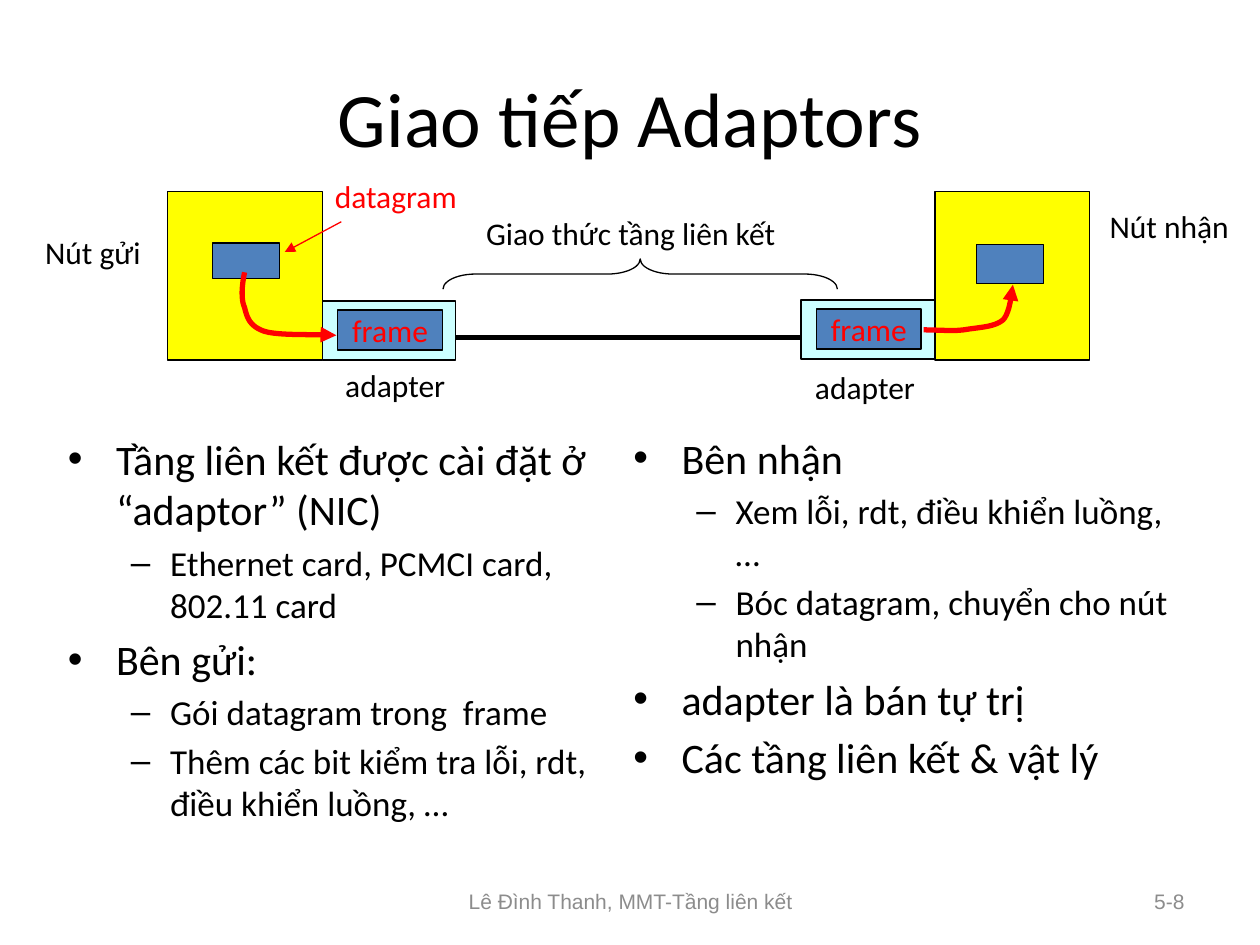
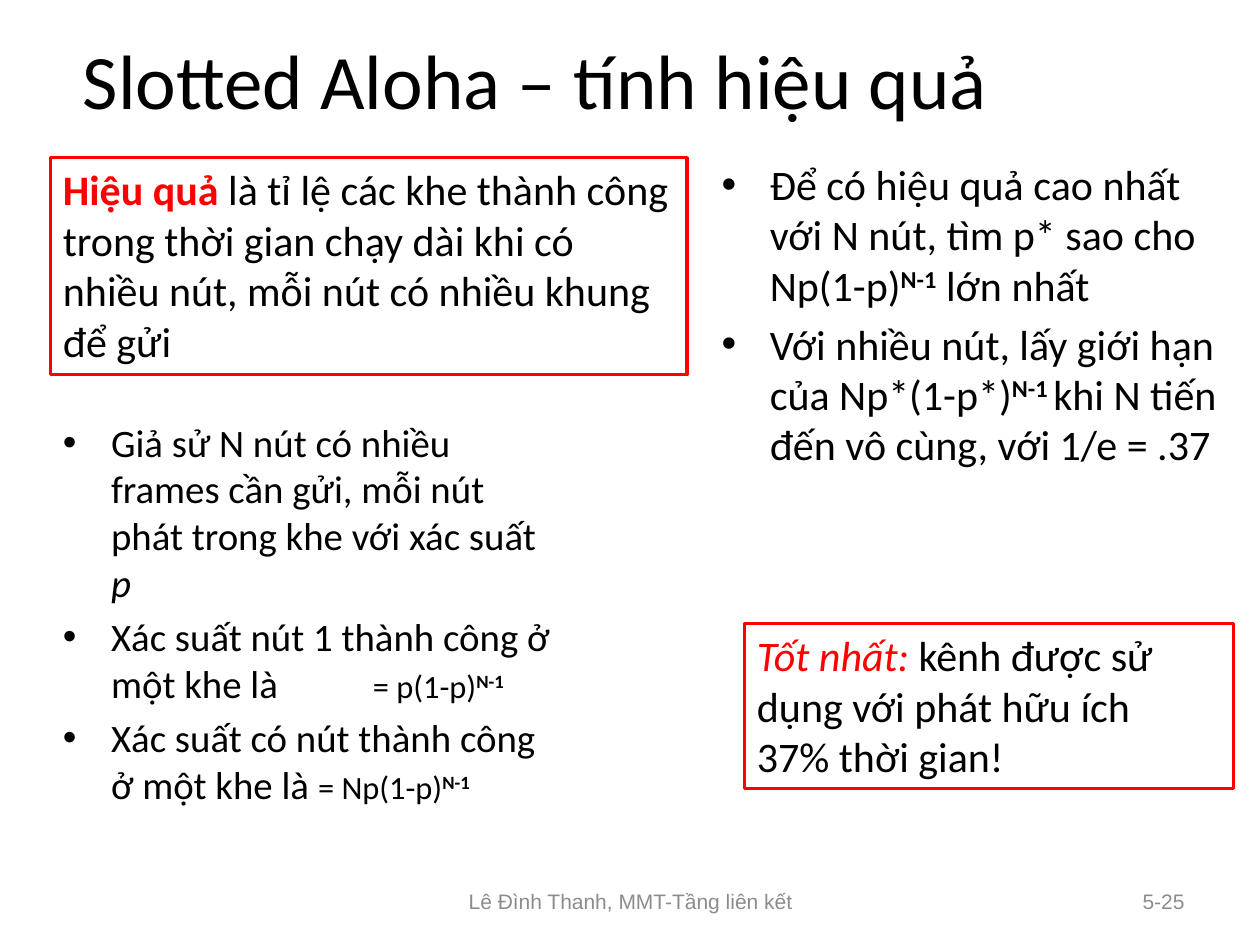
from lxml.etree import SubElement as Sub
from pptx import Presentation
from pptx.dml.color import RGBColor
from pptx.enum.shapes import MSO_CONNECTOR as Link, MSO_SHAPE as Kind
from pptx.enum.text import MSO_ANCHOR as Anchor, PP_ALIGN as Align
from pptx.oxml.ns import qn
from pptx.util import Cm, Pt

BLACK, RED, GREY = "000000", "FF0000", "8C8C8C"
YELLOW, CYAN, BLUE = "FFFF00", "CCFFFF", "4F81BD"
# Per outline level: bullet, left margin, hanging indent
LEVELS = (("•", 0.97, -0.97), ("–", 2.06, -0.79))

# Run styles
SUP = dict(bold=True, sup=True)
SMALL = dict(size=18.5)


def rgb(code):
    return RGBColor.from_string(code)


def curve(pts, steps=12):
    """Points along a chain of cubic Bezier arcs."""
    out = [pts[0]]
    for k in range(0, len(pts) - 1, 3):
        arc = pts[k:k + 4]
        for n in range(1, steps + 1):
            t = n / steps
            mix = ((1 - t) ** 3, 3 * t * (1 - t) ** 2, 3 * t * t * (1 - t), t ** 3)
            out.append(tuple(sum(m * p[a] for m, p in zip(mix, arc)) for a in (0, 1)))
    return out


class Deck:
    font = "Calibri"
    foot = "Lê Đình Thanh, MMT-Tầng liên kết"

    def __init__(self):
        self.prs = Presentation()
        self.prs.slide_width, self.prs.slide_height = Cm(25.4), Cm(19.05)

    def page(self, title, box, num):
        """Start a slide with its footer and title."""
        self.slide = self.prs.slides.add_slide(self.prs.slide_layouts[6])
        self.shapes = self.slide.shapes
        note = dict(size=12, color=GREY, font="Arial", mid=True)
        self.text((8.69, 17.65, 8.05, 1.02), self.foot, align=Align.CENTER, **note)
        self.text((18.21, 17.65, 5.92, 1.02), num, align=Align.RIGHT, **note)
        self.text(box, title, size=44, align=Align.CENTER, mid=True)

    def run(self, par, text, size=18, color=BLACK, font=None,
            bold=False, italic=False, sup=False):
        run = par.add_run()
        run.text = text
        face = run.font
        face.name, face.size = font or self.font, Pt(size)
        face.bold, face.italic = bold, italic
        face.color.rgb = rgb(color)
        if sup:
            run._r.get_or_add_rPr().set("baseline", "30000")

    def text(self, box, text, align=Align.LEFT, mid=False, **style):
        frame = self.shapes.add_textbox(*map(Cm, box)).text_frame
        frame.word_wrap = True
        frame.vertical_anchor = Anchor.MIDDLE if mid else Anchor.TOP
        par = frame.paragraphs[0]
        par.alignment = align
        self.run(par, text, **style)

    def bullets(self, box, items, tab=None):
        """Items are (level, size, run, ...), a run being (text, style)."""
        frame = self.shapes.add_textbox(*map(Cm, box)).text_frame
        frame.word_wrap = True
        for n, (level, size, *runs) in enumerate(items):
            par = frame.add_paragraph() if n else frame.paragraphs[0]
            par.level = level
            mark, left, hang = LEVELS[level]
            ppr = par._p.get_or_add_pPr()
            ppr.set("marL", str(Cm(left)))
            ppr.set("indent", str(Cm(hang)))
            Sub(Sub(ppr, qn("a:spcBef")), qn("a:spcPct"), val="20000")
            Sub(ppr, qn("a:buFont"), typeface="Arial")
            Sub(ppr, qn("a:buChar"), char=mark)
            if tab:
                Sub(Sub(ppr, qn("a:tabLst")), qn("a:tab"), pos=str(Cm(tab)), algn="l")
            for text, style in runs:
                self.run(par, text, **{"size": size, **style})

    def pen(self, item, color, width, arrow=False):
        item.line.color.rgb, item.line.width = rgb(color), Pt(width)
        if arrow:
            Sub(item.line._get_or_add_ln(), qn("a:tailEnd"), type="triangle")

    def shape(self, box, fill=None, line=BLACK, width=0.75, kind=Kind.RECTANGLE):
        item = self.shapes.add_shape(kind, *map(Cm, box))
        item.shadow.inherit = False
        if fill:
            item.fill.solid()
            item.fill.fore_color.rgb = rgb(fill)
        else:
            item.fill.background()
        self.pen(item, line, width)
        return item

    def label(self, box, text):
        """Blue block with a red centred word."""
        frame = self.shape(box, BLUE).text_frame
        frame.word_wrap = False
        frame.vertical_anchor = Anchor.MIDDLE
        frame.paragraphs[0].alignment = Align.CENTER
        self.run(frame.paragraphs[0], text, color=RED)

    def callout(self, box, *lines):
        """Red frame around left-aligned lines of runs."""
        frame = self.shape(box, line=RED, width=2).text_frame
        frame.word_wrap = True
        frame.vertical_anchor = Anchor.TOP
        for n, runs in enumerate(lines):
            par = frame.add_paragraph() if n else frame.paragraphs[0]
            par.alignment = Align.LEFT
            for text, style in runs:
                self.run(par, text, size=24, **style)

    def line(self, start, end, color=BLACK, width=0.75, arrow=False):
        item = self.shapes.add_connector(Link.STRAIGHT, *map(Cm, start + end))
        Sub(item._element.spPr, qn("a:effectLst"))
        self.pen(item, color, width, arrow)

    def swoop(self, pts):
        """Thick red curved arrow."""
        first, *rest = [(Cm(x), Cm(y)) for x, y in curve(pts)]
        form = self.shapes.build_freeform(*first)
        form.add_line_segments(rest, close=False)
        item = form.convert_to_shape()
        item.shadow.inherit = False
        item.fill.background()
        self.pen(item, RED, 3, arrow=True)


def plain(level, size, text):
    return level, size, (text, {})


def adaptors(deck):
    deck.page("Giao tiếp Adaptors", (1.27, 0.76, 22.86, 3.18), "5-8")

    # Sender and receiver notes
    deck.bullets((1.12, 8.61, 11.3, 8.41), [
        plain(0, 24, "Tầng liên kết được cài đặt ở “adaptor” (NIC)"),
        plain(1, 20, "Ethernet card, PCMCI card, 802.11 card"),
        plain(0, 24, "Bên gửi:"),
        plain(1, 20, "Gói datagram trong  frame"),
        plain(1, 20, "Thêm các bit kiểm tra lỗi, rdt, điều khiển luồng, …")])
    deck.bullets((12.52, 8.59, 11.35, 8.31), [
        plain(0, 24, "Bên nhận"),
        plain(1, 20, "Xem lỗi, rdt, điều khiển luồng, …"),
        plain(1, 20, "Bóc datagram, chuyển cho nút nhận"),
        plain(0, 24, "adapter là bán tự trị"),
        plain(0, 24, "Các tầng liên kết & vật lý")])

    # Each node: host, its datagram, and the adapter holding a frame
    deck.line((9.17, 6.81), (16.18, 6.81), width=3)
    for host, gram, card in (
            (3.38, (4.29, 4.9, 1.35, 0.71), (6.5, 6.07)),
            (18.85, (19.69, 4.93, 1.35, 0.79), (16.15, 6.05))):
        deck.shape((host, 3.86, 3.12, 3.4), YELLOW)
        deck.shape(gram, BLUE)
        left, top = card
        deck.shape((left, top, 2.69, 1.19), CYAN)
        deck.label((left + 0.31, top + 0.18, 2.11, 0.81), "frame")

    # Labels
    for left, top, width, text, color in (
            (0.66, 4.57, 2.72, "Nút gửi", BLACK),
            (22.12, 4.04, 3.18, "Nút nhận", BLACK),
            (6.5, 3.45, 3.3, "datagram", RED),
            (6.71, 7.26, 2.82, "adapter", BLACK),
            (16.18, 7.29, 2.82, "adapter", BLACK),
            (9.55, 4.19, 7.85, "Giao thức tầng liên kết", BLACK)):
        deck.text((left, top, width, 1.02), text, color=color)

    # Brace over the link, and the arrows
    brace = deck.shape((12.6, 1.55, 0.61, 7.95), kind=Kind.LEFT_BRACE)
    brace.rotation = 90
    brace.adjustments[0] = 1.08
    deck.line((6.88, 4.47), (5.74, 5.08), RED, arrow=True)
    deck.swoop([(4.93, 5.49), (4.88, 5.74), (4.85, 6.02), (4.93, 6.2),
                (4.98, 6.4), (5.03, 6.58), (5.33, 6.68),
                (5.64, 6.78), (6.53, 6.73), (6.78, 6.76)])
    deck.swoop([(18.62, 6.65), (18.9, 6.65), (19.18, 6.68), (19.43, 6.65),
                (19.71, 6.6), (20.04, 6.6), (20.22, 6.45),
                (20.37, 6.3), (20.4, 5.84), (20.42, 5.74)])


def aloha(deck):
    deck.page("Slotted Aloha – tính hiệu quả", (0, 0, 21.59, 3.18), "5-25")
    power = ("N-1", SUP)

    # Success odds, then the best case
    deck.bullets((1.02, 8.31, 10.5, 8.69), [
        (0, 22.2, ("Giả sử N nút có nhiều frames cần gửi, mỗi nút phát "
                   "trong khe với xác suất ", {}), ("p", dict(italic=True))),
        (0, 22.2, ("Xác suất nút 1 thành công ở một khe là", {}),
         ("\t= p(1-p)", SMALL), ("N-1", {**SUP, **SMALL})),
        (0, 22.2, ("Xác suất có nút thành công ở một khe là ", {}),
         ("= Np(1-p)", SMALL), ("N-1", {**SUP, **SMALL}))], tab=6.25)
    deck.bullets((14.3, 3.07, 10.59, 8.79), [
        (0, 24, ("Để có hiệu quả cao nhất với N nút, tìm p* sao cho Np(1-p)", {}),
         power, (" lớn nhất", {})),
        (0, 24, ("Với nhiều nút, lấy giới hạn của Np*(1-p*)", {}), ("N-1 ", SUP),
         ("khi N tiến đến vô cùng, với 1/e = .37", {}))])

    # Framed statements
    deck.callout((1.02, 3.18, 12.83, 4.37), [
        ("Hiệu quả ", dict(color=RED, bold=True)),
        ("là tỉ lệ các khe thành công trong thời gian chạy dài khi có "
         "nhiều nút, mỗi nút có nhiều khung để gửi", {})])
    deck.callout(
        (15.01, 12.57, 9.86, 3.33),
        [("Tốt nhất:", dict(color=RED, italic=True)), (" kênh được sử", {})],
        [("dụng với phát hữu ích", {})],
        [("37% thời gian!", {})])


def main():
    deck = Deck()
    adaptors(deck)
    aloha(deck)
    deck.prs.save("out.pptx")


if __name__ == "__main__":
    main()
